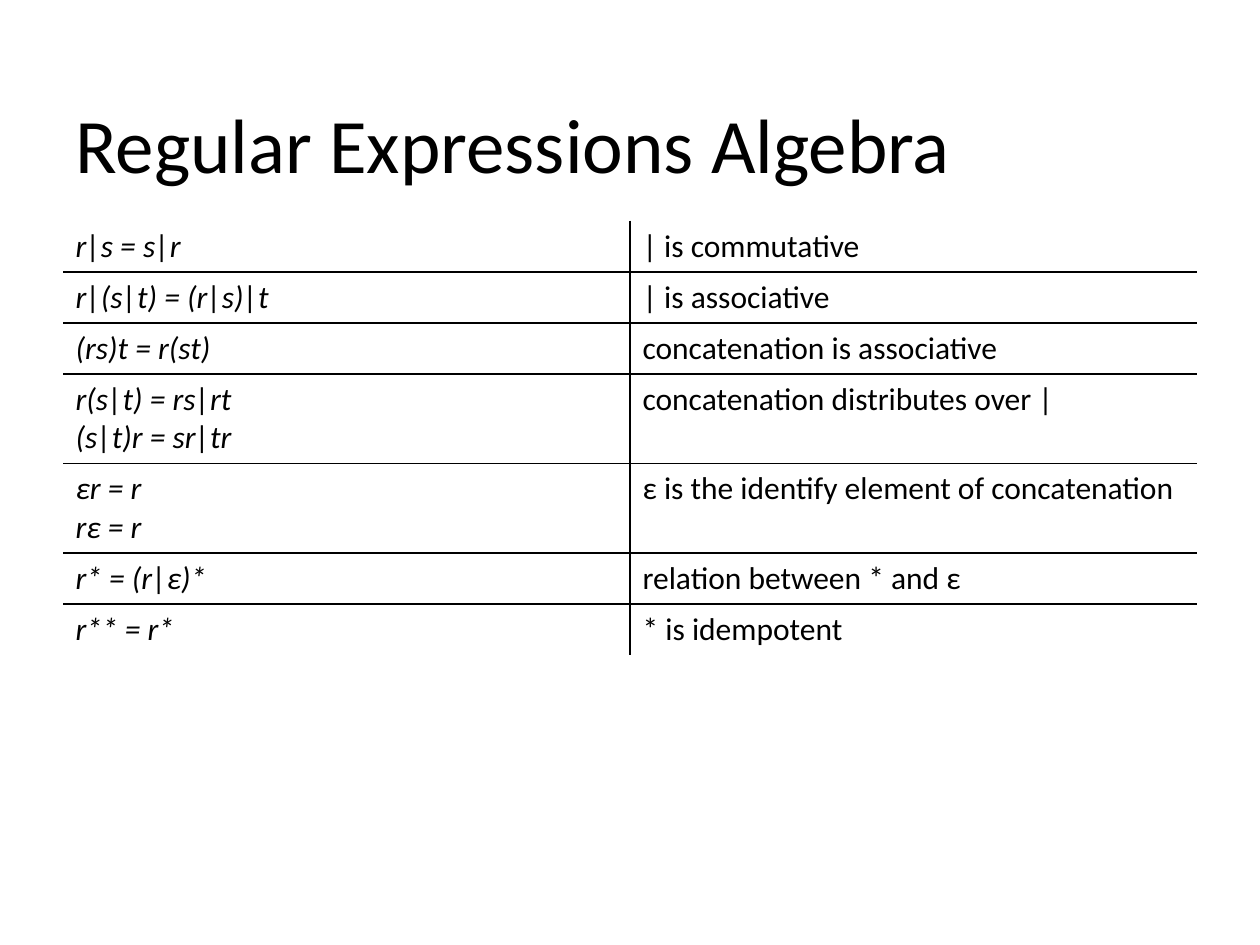
from lxml import etree
from pptx import Presentation
from pptx.dml.color import RGBColor
from pptx.enum.text import MSO_ANCHOR
from pptx.oxml.ns import qn
from pptx.util import Cm, Pt

BOTTOM = MSO_ANCHOR.BOTTOM
FONT = "Calibri"
BLACK = "000000"
TITLE = "Regular Expressions Algebra"
LAWS = [
    (["r|s = s|r"], "| is commutative"),
    (["r|(s|t) = (r|s)|t"], "| is associative"),
    (["(rs)t = r(st)"], "concatenation is associative"),
    (["r(s|t) = rs|rt", "(s|t)r = sr|tr"], "concatenation distributes over |"),
    (["εr = r", "rε = r"], "ε is the identify element of concatenation"),
    (["r* = (r|ε)*"], "relation between * and ε"),
    (["r** = r*"], "* is idempotent"),
]
LEFT, WIDTH = Cm(1.27), Cm(22.86)


def color(code):
    """Turn a hex string into a colour."""
    return RGBColor.from_string(code)


def write(frame, lines, size, italic=False):
    """Put each line into its own paragraph."""
    for i, line in enumerate(lines):
        para = frame.add_paragraph() if i else frame.paragraphs[0]
        run = para.add_run()
        run.text = line
        font = run.font
        font.name, font.size, font.italic = FONT, Pt(size), italic
        font.color.rgb = color(BLACK)


def border(cell, side, shown):
    """Draw one side of a cell, or hide it."""
    props = cell._tc.get_or_add_tcPr()
    line = etree.SubElement(props, qn("a:ln" + side), w=str(Pt(1)))
    if shown:
        fill = etree.SubElement(line, qn("a:solidFill"))
        etree.SubElement(fill, qn("a:srgbClr"), val=BLACK)
    else:
        etree.SubElement(line, qn("a:noFill"))


def add_title(slide):
    """Add the heading, resting on the bottom of its box."""
    box = slide.shapes.add_textbox(LEFT, Cm(0.76), WIDTH, Cm(3.18))
    frame = box.text_frame
    frame.word_wrap = True
    frame.vertical_anchor = BOTTOM
    frame.margin_right = Cm(0.36)
    write(frame, [TITLE], 44)


def add_laws(slide):
    """Add the table of laws, ruled on its inner edges only."""
    rows, cols = len(LAWS), 2
    shape = slide.shapes.add_table(rows, cols, LEFT, Cm(4.45), WIDTH, Cm(8.71))
    table = shape.table
    table.first_row = table.horz_banding = False
    for r, (rules, note) in enumerate(LAWS):
        table.rows[r].height = Cm(1.03)
        for c, lines in enumerate((rules, [note])):
            cell = table.cell(r, c)
            write(cell.text_frame, lines, 18, italic=c == 0)
            inner = {"L": c > 0, "R": c < cols - 1, "T": r > 0, "B": r < rows - 1}
            for side, shown in inner.items():
                border(cell, side, shown)
            cell.fill.background()
    shape.height = Cm(8.71)


deck = Presentation()
deck.slide_width, deck.slide_height = Cm(25.4), Cm(19.05)
slide = deck.slides.add_slide(deck.slide_layouts[6])
add_laws(slide)
add_title(slide)
deck.save("out.pptx")
